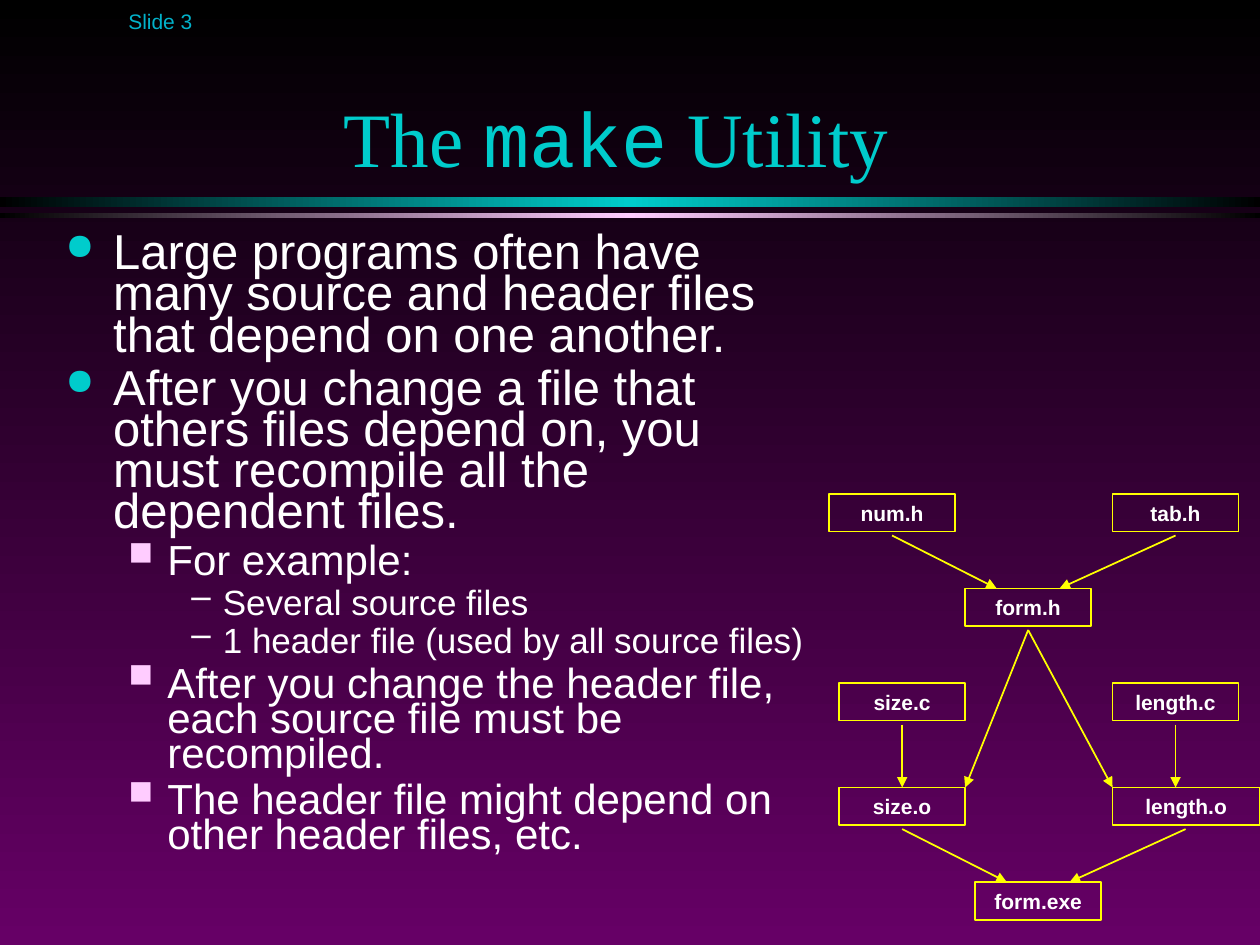
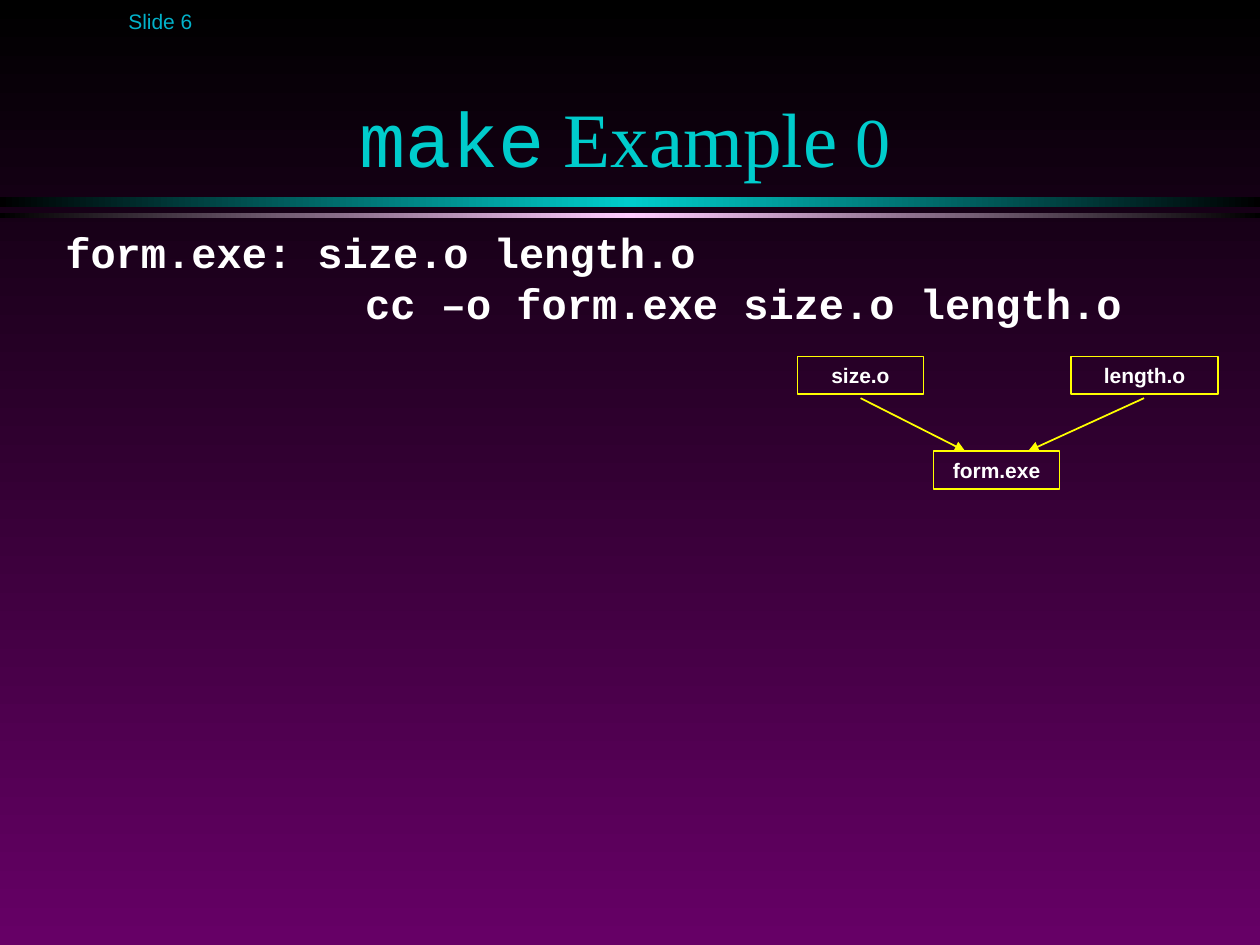
from copy import deepcopy
from dataclasses import dataclass

from lxml import etree
from pptx import Presentation
from pptx.dml.color import RGBColor
from pptx.enum.shapes import MSO_CONNECTOR, MSO_SHAPE
from pptx.enum.text import MSO_ANCHOR, PP_ALIGN
from pptx.oxml.ns import qn
from pptx.util import Inches, Pt

RECTANGLE = MSO_SHAPE.RECTANGLE
STRAIGHT = MSO_CONNECTOR.STRAIGHT
TOP, MIDDLE, BOTTOM = MSO_ANCHOR.TOP, MSO_ANCHOR.MIDDLE, MSO_ANCHOR.BOTTOM
CENTER = PP_ALIGN.CENTER


@dataclass(frozen=True)
class Theme:
    black: str = "000000"
    purple: str = "660066"
    teal: str = "00CCCC"
    pink: str = "FFCCFF"
    white: str = "FFFFFF"
    yellow: str = "FFFF00"
    number_color: str = "02B2CA"
    sans: str = "Arial"
    serif: str = "Times New Roman"
    mono: str = "Courier New"
    title_size: int = 44
    title_end_size: int = 40
    code_size: int = 24
    small_size: int = 12


@dataclass(frozen=True)
class BulletLevel:
    mark: str
    color: str
    percent: int
    margin: float
    hanging: float
    size: int
    space_before: int


THEME = Theme()
LEVELS = (
    BulletLevel("●", THEME.teal, 75, 0.38, 0.38, 28, 7),
    BulletLevel("■", THEME.pink, 80, 0.81, 0.31, 24, 6),
    BulletLevel("–", THEME.white, 100, 1.25, 0.25, 20, 5),
)
NODE_WIDTH, NODE_HEIGHT = 1, 0.3
ARROW_START = 0.33  # from the top of a node to the tail of its arrow
MERGE_DROP = 0.75  # from a row of sources down to their target

MAKE_POINTS = (
    (0, "Large programs often have many source and header files that depend on one another."),
    (0, "After you change a file that others files depend on, you must recompile all the dependent files."),
    (1, "For example:"),
    (2, "Several source files"),
    (2, "1 header file (used by all source files)"),
    (1, "After you change the header file, each source file must be recompiled."),
    (1, "The header file might depend on other header files, etc."),
)
# Each line of the rule: left margin, first-line indent, text
MAKE_RULE = (
    (0.38, -0.38, "form.exe: size.o length.o"),
    (2.38, 0, "cc –o form.exe size.o length.o"),
)


# Shared helpers
def set_font(font, name, size, color, bold=False):
    font.name = name
    font.size = Pt(size)
    font.bold = bold
    font.color.rgb = RGBColor.from_string(color)


def set_gradient(fill, colors, angle):
    fill.gradient()
    fill.gradient_angle = angle
    for stop, color in zip(fill.gradient_stops, colors):
        stop.color.rgb = RGBColor.from_string(color)


def set_indent(paragraph, margin, first_line):
    properties = paragraph._p.get_or_add_pPr()
    properties.set("marL", str(Inches(margin)))
    properties.set("indent", str(Inches(first_line)))
    return properties


def add_bullet(paragraph, level):
    properties = set_indent(paragraph, level.margin, -level.hanging)
    color = etree.SubElement(properties, qn("a:buClr"))
    etree.SubElement(color, qn("a:srgbClr"), val=level.color)
    etree.SubElement(properties, qn("a:buSzPct"), val=str(level.percent * 1000))
    etree.SubElement(properties, qn("a:buChar"), char=level.mark)


def add_text_frame(slide, left, top, width, height, anchor=TOP):
    box = slide.shapes.add_textbox(Inches(left), Inches(top), Inches(width), Inches(height))
    frame = box.text_frame
    frame.word_wrap = True
    frame.vertical_anchor = anchor
    return frame


def add_paragraphs(frame, count):
    return [frame.paragraphs[0]] + [frame.add_paragraph() for _ in range(count - 1)]


# Slide frame: background, bands, number and title
def add_band(slide, top, height, color):
    band = slide.shapes.add_shape(RECTANGLE, 0, Inches(top), Inches(10), Inches(height))
    band.shadow.inherit = False
    band.line.fill.background()
    set_gradient(band.fill, (THEME.black, color), 0)
    # Mirror the fade: the colour moves to the middle and black closes it
    stops = band._element.spPr.find(".//" + qn("a:gsLst"))
    closing = deepcopy(stops[0])
    closing.set("pos", "100000")
    stops[1].set("pos", "50000")
    stops.append(closing)


def add_title(slide, runs):
    paragraph = add_text_frame(slide, 0.67, 0.25, 8.58, 1.25, BOTTOM).paragraphs[0]
    paragraph.alignment = CENTER
    for text, font_name, size in runs:
        run = paragraph.add_run()
        run.text = text
        set_font(run.font, font_name, size, THEME.teal)


def add_framed_slide(presentation, number, title_runs):
    slide = presentation.slides.add_slide(presentation.slide_layouts[6])
    set_gradient(slide.background.fill, (THEME.black, THEME.purple), 270)
    add_band(slide, 1.56, 0.08, THEME.teal)
    add_band(slide, 1.69, 0.04, THEME.pink)
    paragraph = add_text_frame(slide, 0.92, 0, 1.83, 0.33, MIDDLE).paragraphs[0]
    paragraph.text = f"Slide {number}"
    set_font(paragraph.font, THEME.sans, THEME.small_size, THEME.number_color)
    add_title(slide, title_runs)
    return slide


# Body text
def add_bullet_list(slide, left, top, width, height, points):
    frame = add_text_frame(slide, left, top, width, height)
    paragraphs = add_paragraphs(frame, len(points))
    for index, (paragraph, (depth, text)) in enumerate(zip(paragraphs, points)):
        level = LEVELS[depth]
        paragraph.text = text
        paragraph.level = depth
        add_bullet(paragraph, level)
        paragraph.line_spacing = 0.7
        if index:
            paragraph.space_before = Pt(level.space_before)
        set_font(paragraph.font, THEME.sans, level.size, THEME.white)


def add_code(slide, left, top, width, height, lines):
    frame = add_text_frame(slide, left, top, width, height)
    paragraphs = add_paragraphs(frame, len(lines))
    for index, (paragraph, (margin, first_line, text)) in enumerate(zip(paragraphs, lines)):
        paragraph.text = text
        set_indent(paragraph, margin, first_line)
        paragraph.line_spacing = 0.8
        if index:
            paragraph.space_before = Pt(6)
        set_font(paragraph.font, THEME.mono, THEME.code_size, THEME.white, bold=True)


# Dependency diagrams
def add_node(slide, left, top, name, width=NODE_WIDTH):
    node = slide.shapes.add_shape(
        RECTANGLE, Inches(left), Inches(top), Inches(width), Inches(NODE_HEIGHT))
    node.shadow.inherit = False
    node.fill.background()
    node.line.color.rgb = RGBColor.from_string(THEME.yellow)
    node.line.width = Pt(1)
    node.text_frame.vertical_anchor = TOP
    paragraph = node.text_frame.paragraphs[0]
    paragraph.text = name
    paragraph.alignment = CENTER
    set_font(paragraph.font, THEME.sans, THEME.small_size, THEME.white, bold=True)


def add_arrow(slide, start, end):
    points = [Inches(value) for value in (*start, *end)]
    arrow = slide.shapes.add_connector(STRAIGHT, *points)
    arrow.line.color.rgb = RGBColor.from_string(THEME.yellow)
    arrow.line.width = Pt(1)
    etree.SubElement(arrow.line._get_or_add_ln(), qn("a:tailEnd"), type="triangle")
    etree.SubElement(arrow._element.spPr, qn("a:effectLst"))


def add_merge(slide, left, top, sources, target, right_offset=2.17, right_width=1.17):
    """Two source files in a row, with arrows down to the file built from them."""
    target_left, target_top = left + 1.08, top + MERGE_DROP
    add_node(slide, left, top, sources[0])
    add_node(slide, left + right_offset, top, sources[1], right_width)
    add_node(slide, target_left, target_top, target)
    for start, end in ((0.5, 0.25), (2.75, 0.75)):
        add_arrow(slide, (left + start, top + ARROW_START), (target_left + end, target_top))


def add_dependency_graph(slide, left, top):
    column, compile_top, object_top = left + 0.08, top + 1.5, top + 2.33
    add_merge(slide, left, top, ("num.h", "tab.h"), "form.h", 2.25, NODE_WIDTH)
    add_merge(slide, column, object_top, ("size.o", "length.o"), "form.exe")
    # Each object file depends on its source file and on form.h
    header_bottom = (left + 1.58, top + 1.08)
    for name, offset, corner in (("size.c", 0, NODE_WIDTH), ("length.c", 2.17, 0)):
        node_left = column + offset
        middle = node_left + NODE_WIDTH / 2
        add_node(slide, node_left, compile_top, name)
        add_arrow(slide, (middle, compile_top + ARROW_START), (middle, object_top))
        add_arrow(slide, header_bottom, (node_left + corner, object_top))


# Slides
def add_utility_slide(presentation):
    slide = add_framed_slide(presentation, 3, (
        ("The ", THEME.serif, THEME.title_size),
        ("make", THEME.mono, THEME.title_size),
        (" Utility", THEME.serif, THEME.title_size),
        (" ", THEME.serif, THEME.title_end_size),
    ))
    add_bullet_list(slide, 0.42, 1.83, 6.08, 5.5, MAKE_POINTS)
    add_dependency_graph(slide, 6.58, 3.92)


def add_example_slide(presentation):
    slide = add_framed_slide(presentation, 6, (
        ("make", THEME.mono, THEME.title_size),
        (" Example", THEME.serif, THEME.title_size),
        (" 0", THEME.serif, THEME.title_end_size),
    ))
    add_code(slide, 0.42, 1.83, 9.42, 5.5, MAKE_RULE)
    add_merge(slide, 6.33, 2.83, ("size.o", "length.o"), "form.exe")


def main():
    presentation = Presentation()
    presentation.slide_width = Inches(10)
    presentation.slide_height = Inches(7.5)
    add_utility_slide(presentation)
    add_example_slide(presentation)
    presentation.save("out.pptx")


if __name__ == "__main__":
    main()
